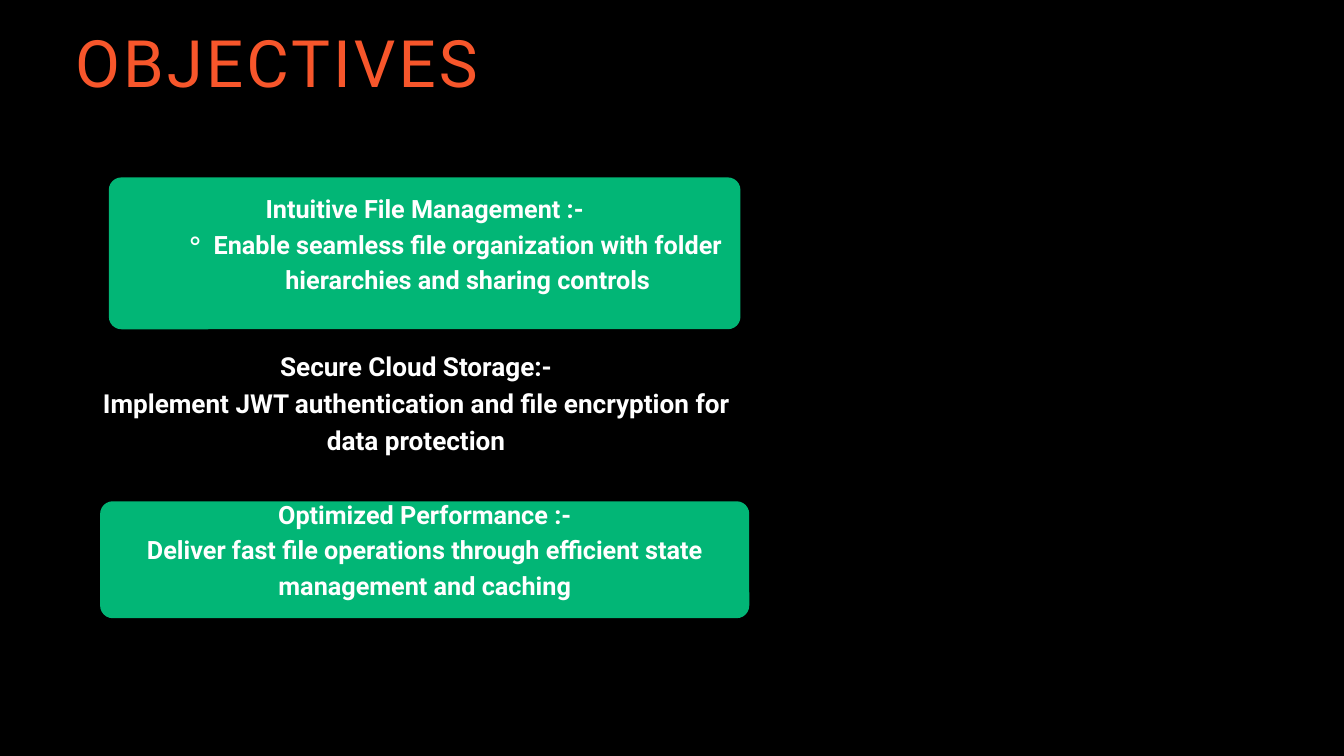
"""Build the objectives slide."""
import pptx
import pptx.dml.color
import pptx.enum.shapes
import pptx.enum.text
import pptx.oxml
import pptx.oxml.ns
import pptx.util

Pt = pptx.util.Pt
COLOURS = {"background": "000000", "panel": "02B676", "body": "FFFFFF", "title": "F7562B"}
CORNER_RADIUS = 13.5
INSET = 4.32


def colour(name):
    """Return the named colour."""
    return pptx.dml.color.RGBColor.from_string(COLOURS[name])


def add_panel(slide, left, top, width, height):
    """Add a green rounded panel."""
    shape = slide.shapes.add_shape(
        pptx.enum.shapes.MSO_SHAPE.ROUNDED_RECTANGLE, Pt(left), Pt(top), Pt(width), Pt(height))
    shape.adjustments[0] = CORNER_RADIUS / min(width, height)
    shape.shadow.inherit = False
    shape.fill.solid()
    shape.fill.fore_color.rgb = colour("panel")
    shape.line.fill.background()


def add_text(slide, left, top, width, height, lines, size, line_spacing, fill="body", bold=True,
             align="CENTER", anchor="MIDDLE", inset=INSET, bottom_inset=INSET, tracking=0):
    """Add a text box with one paragraph per line and return its paragraphs."""
    frame = slide.shapes.add_textbox(Pt(left), Pt(top), Pt(width), Pt(height)).text_frame
    frame.word_wrap = True
    frame.vertical_anchor = pptx.enum.text.MSO_ANCHOR[anchor]
    frame.margin_left = frame.margin_top = frame.margin_right = Pt(inset)
    frame.margin_bottom = Pt(bottom_inset)
    frame.text = "\n".join(lines)
    for paragraph in frame.paragraphs:
        paragraph.alignment = pptx.enum.text.PP_ALIGN[align]
        paragraph.line_spacing = Pt(line_spacing)
        font = paragraph.runs[0].font
        font.name, font.size, font.bold = "Roboto", Pt(size), bold
        font.color.rgb = colour(fill)
        if tracking:
            font._element.set("spc", str(round(tracking * 100)))
    return frame.paragraphs


def add_bullet(paragraph, character, margin, indent):
    """Turn a paragraph into a second-level bullet with a hanging indent."""
    paragraph.level = 1
    properties = paragraph._p.get_or_add_pPr()
    properties.set("marL", str(Pt(margin)))
    properties.set("indent", str(Pt(indent)))
    bullet = pptx.oxml.parse_xml(
        f'<a:buChar {pptx.oxml.ns.nsdecls("a")} char="{character}"/>')
    properties.append(bullet)


def main():
    """Create and save the presentation."""
    presentation = pptx.Presentation()
    presentation.slide_width, presentation.slide_height = Pt(1440), Pt(810)
    slide = presentation.slides.add_slide(presentation.slide_layouts[6])
    slide.background.fill.solid()
    slide.background.fill.fore_color.rgb = colour("background")

    add_text(slide, 98, 350, 695.5, 197.3,
             ["Secure Cloud Storage:-",
              "Implement JWT authentication and file encryption for data protection"],
             28, 39.2, bottom_inset=INSET + 39.2)

    add_panel(slide, 116.6, 190.1, 676.8, 162.7)
    management = add_text(
        slide, 116.6, 164.9, 676.8, 187.9,
        ["Intuitive File Management :-",
         "Enable seamless file organization with folder hierarchies and sharing controls"],
        27, 37.8)
    add_bullet(management[1], "⚬", 92.2, -31)

    add_panel(slide, 107.3, 537.1, 695.5, 125.3)
    add_text(slide, 107.3, 511.2, 695.5, 150.5,
             ["Optimized Performance :-",
              "Deliver fast file operations through efficient state management and caching"],
             27, 37.8)

    add_text(slide, 80.6, 38.2, 639.4, 84.2, ["OBJECTIVES"], 70, 70, fill="title", bold=False,
             align="LEFT", anchor="TOP", inset=0, bottom_inset=0, tracking=3.4)
    presentation.save("out.pptx")


if __name__ == "__main__":
    main()
